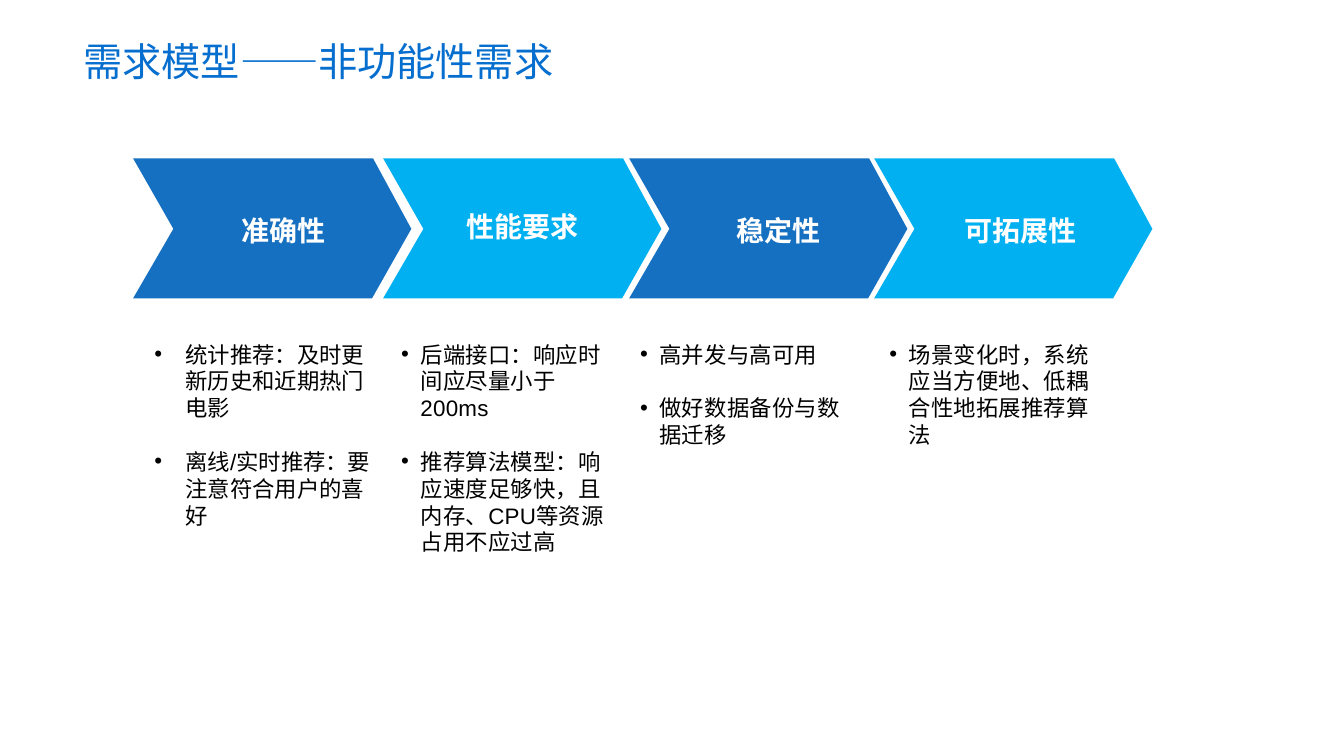
import dataclasses

import lxml.etree
import pptx
import pptx.dml.color
import pptx.enum.text
import pptx.oxml.ns
import pptx.util

PX = 9144  # EMU per px, 100 px to the inch
WHITE = pptx.dml.color.RGBColor(0xFF, 0xFF, 0xFF)
BLACK = pptx.dml.color.RGBColor(0x00, 0x00, 0x00)
NAVY = pptx.dml.color.RGBColor(0x15, 0x70, 0xC1)
SKY = pptx.dml.color.RGBColor(0x00, 0xB0, 0xF0)
TITLE_FROM = pptx.dml.color.RGBColor(0x05, 0x6E, 0xCF)
TITLE_TO = pptx.dml.color.RGBColor(0x08, 0x84, 0xF8)
CJK = "Noto Sans CJK SC"

ARROW_TOP = 157
ARROW = [(0, 0), (40, 70), (0, 139), (237, 139), (276, 70), (238, 0)]
LABEL_SIZE = (197, 44)
LIST_TOP = 338


@dataclasses.dataclass
class Need:
    name: str
    color: pptx.dml.color.RGBColor
    arrow_x: int
    label_x: int
    label_y: int
    list_x: int
    list_w: int
    list_h: int
    items: list[str]
    face: str = CJK
    indent: int = 19
    track: int = 20


NEEDS = [
    Need("准确性", NAVY, 132, 183, 207, 153, 215, 188,
         ["统计推荐：及时更新历史和近期热门电影",
          "离线/实时推荐：要注意符合用户的喜好"], "Arial", 31, 0),
    Need("性能要求", SKY, 380, 420, 203, 398, 203, 215,
         ["后端接口：响应时间应尽量小于200ms",
          "推荐算法模型：响应速度足够快，且内存、CPU等资源占用不应过高"], "Arial"),
    Need("稳定性", NAVY, 624, 674, 207, 635, 204, 108,
         ["高并发与高可用", "做好数据备份与数据迁移"]),
    Need("可拓展性", SKY, 867, 914, 207, 882, 199, 108,
         ["场景变化时，系统应当方便地、低耦合性地拓展推荐算法"]),
]


def add_box(slide, x: int, y: int, w: int, h: int):
    box = slide.shapes.add_textbox(x * PX, y * PX, w * PX, h * PX)
    frame = box.text_frame
    frame.word_wrap = True
    frame.auto_size = pptx.enum.text.MSO_AUTO_SIZE.SHAPE_TO_FIT_TEXT
    return frame


def set_font(para, face: str, size: int, color=None, bold: bool = False):
    font = para.font
    font.size = pptx.util.Pt(size)
    font.bold = bold
    font.name = face
    if color is not None:
        font.fill.solid()
        font.fill.fore_color.rgb = color
    east = lxml.etree.SubElement(font._element, pptx.oxml.ns.qn("a:ea"))
    east.set("typeface", CJK)
    return font


def add_title(slide, text: str) -> None:
    para = add_box(slide, 73, 32, 560, 57).paragraphs[0]
    para.text = text
    fill = set_font(para, CJK, 28).fill
    fill.gradient()
    fill.gradient_angle = 0
    for stop, color in zip(fill.gradient_stops, (TITLE_FROM, TITLE_TO)):
        stop.color.rgb = color


def add_arrow(slide, need: Need) -> None:
    points = [(need.arrow_x + x, ARROW_TOP + y) for x, y in ARROW]
    path = slide.shapes.build_freeform(*points[0], scale=PX)
    path.add_line_segments(points[1:], close=True)
    shape = path.convert_to_shape()
    shape.shadow.inherit = False
    shape.fill.solid()
    shape.fill.fore_color.rgb = need.color
    shape.line.fill.background()


def add_label(slide, need: Need) -> None:
    para = add_box(slide, need.label_x, need.label_y, *LABEL_SIZE).paragraphs[0]
    para.text = need.name
    para.alignment = pptx.enum.text.PP_ALIGN.CENTER
    set_font(para, "Calibri", 20, WHITE, bold=True)


def add_list(slide, need: Need) -> None:
    frame = add_box(slide, need.list_x, LIST_TOP, need.list_w, need.list_h)
    frame.margin_left = frame.margin_right = 0
    frame.margin_top = frame.margin_bottom = 0
    for i, item in enumerate(need.items):
        para = frame.add_paragraph() if i else frame.paragraphs[0]
        para.text = item
        if i:
            para.space_before = pptx.util.Pt(19)
        props = para._p.get_or_add_pPr()
        props.set("marL", str(need.indent * PX))
        props.set("indent", str(-need.indent * PX))
        face = lxml.etree.SubElement(props, pptx.oxml.ns.qn("a:buFont"))
        face.set("typeface", "Arial")
        mark = lxml.etree.SubElement(props, pptx.oxml.ns.qn("a:buChar"))
        mark.set("char", "•")
        font = set_font(para, need.face, 16, BLACK)
        if need.track:
            font._element.set("spc", str(need.track))


def main() -> None:
    deck = pptx.Presentation()
    deck.slide_width = 1333 * PX
    deck.slide_height = 750 * PX
    slide = deck.slides.add_slide(deck.slide_layouts[6])
    add_title(slide, "需求模型——非功能性需求")
    for need in NEEDS:
        add_arrow(slide, need)
        add_list(slide, need)
        add_label(slide, need)
    deck.save("out.pptx")


if __name__ == "__main__":
    main()
